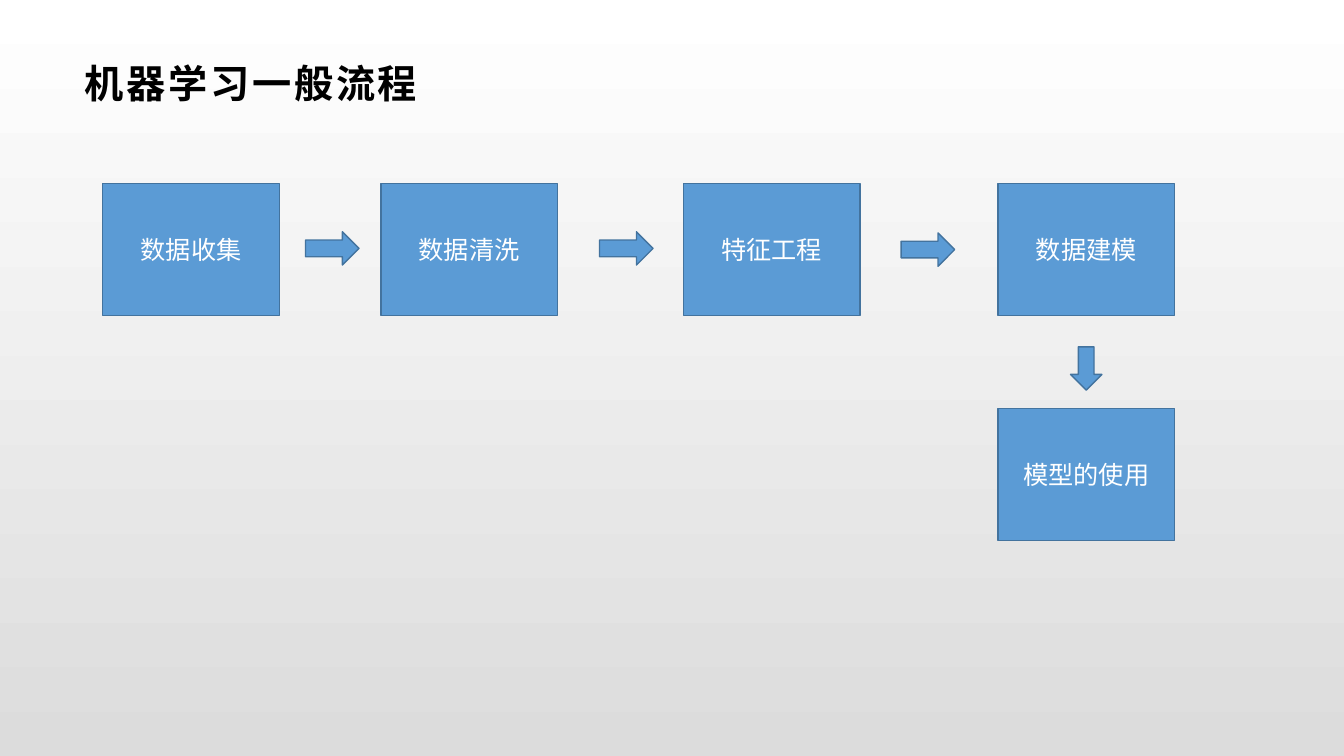
from pptx import Presentation
from pptx.dml.color import RGBColor
from pptx.enum.shapes import MSO_SHAPE
from pptx.enum.text import MSO_ANCHOR, PP_ALIGN
from pptx.util import Cm, Pt

RECTANGLE = MSO_SHAPE.RECTANGLE
RIGHT_ARROW = MSO_SHAPE.RIGHT_ARROW
DOWN_ARROW = MSO_SHAPE.DOWN_ARROW
MIDDLE = MSO_ANCHOR.MIDDLE
LEFT, CENTER = PP_ALIGN.LEFT, PP_ALIGN.CENTER

COLORS = {
    "top": "FFFFFF",
    "bottom": "DCDCDC",
    "title": "000000",
    "fill": "5B9BD5",
    "line": "43739E",
    "label": "FFFFFF",
}

# Sizes and places in centimetres
BOX_WIDTH, BOX_HEIGHT = 4.45, 3.33
ROW_TOP, MODEL_USE_TOP = 4.62, 10.29
STEPS = [("数据收集", 2.59), ("数据清洗", 9.6), ("特征工程", 17.22), ("数据建模", 25.15)]
ARROW_WIDTH, ARROW_HEIGHT = 1.35, 0.84
ARROWS = [(7.7, 5.84), (15.11, 5.84), (22.71, 5.87)]
DOWN_WIDTH, DOWN_HEIGHT, DOWN_TOP = 0.79, 1.09, 8.74


def color(name):
    return RGBColor.from_string(COLORS[name])


class FlowPage:
    """Holds the style and the current slide."""

    font = "Arial"

    def __init__(self, deck):
        self.page = deck.slides.add_slide(deck.slide_layouts[5])

    def background(self):
        fill = self.page.background.fill
        fill.gradient()
        fill.gradient_angle = 270
        for stop, name in zip(fill.gradient_stops, ("top", "bottom")):
            stop.color.rgb = color(name)

    def set_text(self, frame, text, size, ink, align, bold=False, spacing=None):
        frame.word_wrap = True
        frame.vertical_anchor = MIDDLE
        para = frame.paragraphs[0]
        para.alignment = align
        span = para.add_run()
        span.text = text
        span.font.name = self.font
        span.font.size = Pt(size)
        span.font.bold = bold
        span.font.color.rgb = color(ink)
        if spacing:
            span.font._element.set("spc", str(spacing * 100))

    def title(self, text):
        box = self.page.shapes.title
        box.left, box.top, box.width, box.height = Cm(1.85), Cm(1.19), Cm(30.15), Cm(1.8)
        frame = box.text_frame
        frame.margin_left, frame.margin_right = Cm(0.28), Cm(0.2)
        frame.margin_top = frame.margin_bottom = Cm(0.1)
        self.set_text(frame, text, 28, "title", LEFT, bold=True, spacing=2)

    def shape(self, kind, left, top, width, height):
        shape = self.page.shapes.add_shape(kind, Cm(left), Cm(top), Cm(width), Cm(height))
        shape.shadow.inherit = False
        shape.fill.solid()
        shape.fill.fore_color.rgb = color("fill")
        shape.line.color.rgb = color("line")
        shape.line.width = Pt(1)
        return shape

    def step(self, text, left, top):
        box = self.shape(RECTANGLE, left, top, BOX_WIDTH, BOX_HEIGHT)
        self.set_text(box.text_frame, text, 18, "label", CENTER)


def main():
    deck = Presentation()
    deck.slide_width, deck.slide_height = Cm(33.87), Cm(19.05)
    flow = FlowPage(deck)
    flow.background()
    flow.title("机器学习一般流程")

    # Row of steps with the arrows between them
    for text, left in STEPS:
        flow.step(text, left, ROW_TOP)
    for left, top in ARROWS:
        flow.shape(RIGHT_ARROW, left, top, ARROW_WIDTH, ARROW_HEIGHT)

    # Last step, below the end of the row
    last_left = STEPS[-1][1]
    flow.step("模型的使用", last_left, MODEL_USE_TOP)
    down_left = last_left + (BOX_WIDTH - DOWN_WIDTH) / 2
    flow.shape(DOWN_ARROW, down_left, DOWN_TOP, DOWN_WIDTH, DOWN_HEIGHT)

    deck.save("out.pptx")


if __name__ == "__main__":
    main()
